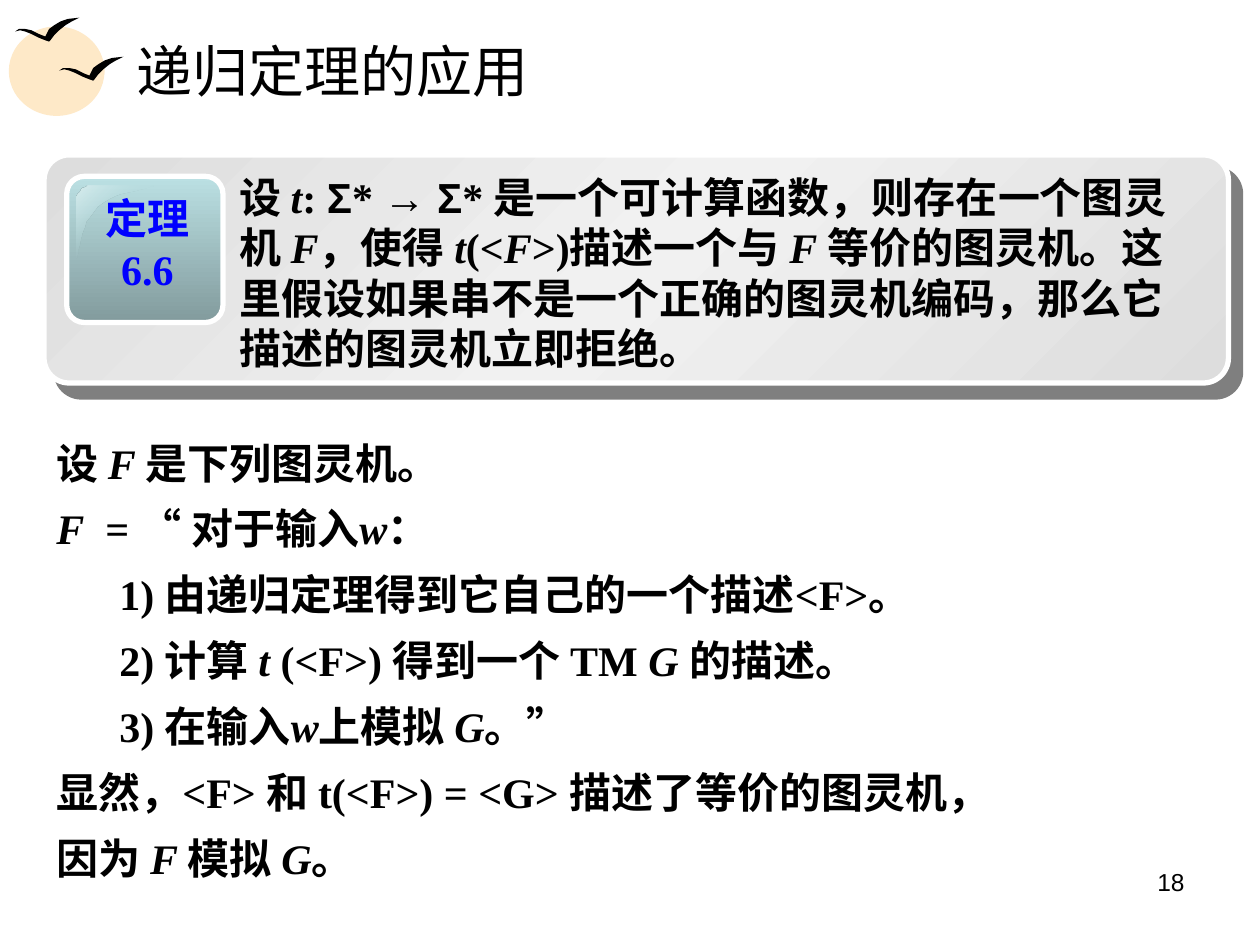
import lxml.etree
import pptx
import pptx.dml.color
import pptx.enum.shapes
import pptx.enum.text
import pptx.oxml.ns
import pptx.util

SHAPE = pptx.enum.shapes.MSO_SHAPE
ALIGN = pptx.enum.text.PP_ALIGN
ANCHOR = pptx.enum.text.MSO_ANCHOR
Inches, Pt = pptx.util.Inches, pptx.util.Pt
DRAWING = "http://schemas.openxmlformats.org/drawingml/2006/main"
SERIF, SANS = "Times New Roman", "Arial"

HEADING = "递归定理的应用"
BADGE = ["定理", "6.6"]
THEOREM = [
    "设 _t_: ~Σ~* ~→ Σ~* 是一个可计算函数，则存在一个图灵机 _F_，使得 _t_(<_F_>)描述一个与 _F _"
    "等价的图灵机。这里假设如果串不是一个正确的图灵机编码，那么它描述的图灵机立即拒绝。"
]
PROOF = [
    (0, "设 _F _是下列图灵机。"),
    (0, "_F_  = “ 对于输入_w_："),
    (1, "1) 由递归定理得到它自己的一个描述<F>。"),
    (1, "2) 计算 _t _(<F>) 得到一个 TM _G _的描述。"),
    (1, "3) 在输入_w_上模拟 _G_。”"),
    (0, "显然，<F> 和 t(<F>) = <G> 描述了等价的图灵机，"),
    (0, "因为 _F _模拟 _G_。"),
]
INDENTS = [(0.38, -0.38), (0.81, -0.31)]
PAGE = "18"

SUN = [(0.07, 0.21, 0.76, 0.71), (0.2, 0.28, 0.63, 0.55)]
BIRD = [(0, 11), (3, 9), (8, 9), (13, 10), (19, 13), (24, 15), (27, 9), (31, 6), (36, 3),
        (42, 1), (51, 0), (45, 3), (40, 6), (35, 10), (31, 14), (28, 18), (27, 19),
        (24, 18), (19, 16), (13, 13), (8, 11), (4, 10)]
BIRD_PLACES = [(0.47, 0.45), (0.12, 0.14)]
GLOSS_CURVES = [
    [(0.73, 1.47), (0.67, 1.47), (0.61, 1.52), (0.61, 1.59)],
    [(0.61, 2.05), (0.64, 2.05), (0.63, 1.77), (0.78, 1.64)],
    [(0.78, 1.64), (0.93, 1.51), (1.23, 1.5), (1.22, 1.47)],
]


def rgb(value):
    return pptx.dml.color.RGBColor.from_string(value)


def add_xml(parent, markup):
    element = lxml.etree.fromstring(markup.replace(">", f' xmlns:a="{DRAWING}">', 1))
    parent.append(element)
    return element


def paint(part, color):
    part.shadow.inherit = False
    part.fill.solid()
    part.fill.fore_color.rgb = rgb(color)
    part.line.fill.background()


def paint_gradient(part, stops, angle):
    paint(part, stops[0][1])
    marks = "".join(
        f'<a:gs pos="{place * 1000}"><a:srgbClr val="{color}">'
        f'<a:alpha val="{alpha * 1000}"/></a:srgbClr></a:gs>'
        for place, color, alpha in stops)
    properties = part._element.spPr
    gradient = add_xml(properties, f'<a:gradFill rotWithShape="1"><a:gsLst>{marks}</a:gsLst>'
                                   f'<a:lin ang="{angle * 60000}" scaled="1"/></a:gradFill>')
    properties.replace(properties.find(pptx.oxml.ns.qn("a:solidFill")), gradient)


def add_panel(slide, box, corner, stops, angle):
    panel = slide.shapes.add_shape(SHAPE.ROUNDED_RECTANGLE, *map(Inches, box))
    panel.adjustments[0] = corner
    paint_gradient(panel, stops, angle)
    panel.line.color.rgb = rgb("FFFFFF")
    panel.line.width = Pt(3)
    return panel


def add_outline(slide, points, place=(0, 0)):
    builder = slide.shapes.build_freeform(*points[0], scale=Inches(0.01))
    builder.add_line_segments(points[1:], close=True)
    return builder.convert_to_shape(*map(Inches, place))


def curve(controls, steps=12):
    weights = (1, 3, 3, 1)
    return [
        tuple(100 * sum(w * (1 - s / steps) ** (3 - k) * (s / steps) ** k * point[axis]
                        for k, (w, point) in enumerate(zip(weights, controls)))
              for axis in (0, 1))
        for s in range(steps + 1)]


def write(paragraph, text, size, font=SERIF, color="000000", bold=False, align=ALIGN.LEFT):
    paragraph.alignment = align
    paragraph.font.size = Pt(size)
    paragraph.font.name = font
    paragraph.font.bold = bold
    paragraph.font.color.rgb = rgb(color)
    for i, stretch in enumerate(text.split("_")):
        for j, piece in enumerate(stretch.split("~")):
            if piece:
                run = paragraph.add_run()
                run.text = piece
                if i % 2:
                    run.font.italic = True
                if j % 2:
                    run.font.name = SANS


def add_text(slide, box, lines, size, **style):
    frame = slide.shapes.add_textbox(*map(Inches, box)).text_frame
    frame.word_wrap = True
    for i, line in enumerate(lines):
        paragraph = frame.add_paragraph() if i else frame.paragraphs[0]
        write(paragraph, line, size, **style)
    return frame


def main():
    deck = pptx.Presentation()
    deck.slide_width, deck.slide_height = Inches(10), Inches(7.5)
    slide = deck.slides.add_slide(deck.slide_layouts[5])

    for box in SUN:
        paint(slide.shapes.add_shape(SHAPE.OVAL, *map(Inches, box)), "FEE9C8")
    for place in BIRD_PLACES:
        paint(add_outline(slide, BIRD, place), "000000")

    title = slide.shapes.title
    title.left, title.top, title.width, title.height = map(Inches, (0.98, 0.21, 8.53, 0.69))
    title.text_frame.vertical_anchor = ANCHOR.MIDDLE
    write(title.text_frame.paragraphs[0], HEADING, 32)

    card = add_panel(slide, (0.35, 1.23, 9.4, 1.81), 0.11,
                     [(0, "DDDDDD", 100), (50, "F1F1F1", 100), (100, "DDDDDD", 100)], 225)
    effects = card._element.spPr.find(pptx.oxml.ns.qn("a:effectLst"))
    add_xml(effects, f'<a:outerShdw dist="{Pt(10.6)}" dir="{49 * 60000}" algn="ctr" rotWithShape="0">'
                     '<a:srgbClr val="000000"><a:alpha val="50000"/></a:srgbClr></a:outerShdw>')
    add_panel(slide, (0.53, 1.4, 1.24, 1.16), 0.12,
              [(0, "BBE0E3", 100), (100, "829B9D", 100)], 90)
    gloss = add_outline(slide, [point for part in GLOSS_CURVES for point in curve(part)])
    paint_gradient(gloss, [(0, "D9EDEE", 100), (50, "BBE0E3", 0), (100, "D9EDEE", 100)], 225)

    add_text(slide, (0.7, 1.48, 0.94, 0.9), BADGE, 24, color="0000FF", bold=True,
             align=ALIGN.CENTER)
    add_text(slide, (1.8, 1.31, 7.69, 1.7), THEOREM, 24, bold=True)

    proof = add_text(slide, (0.35, 3.36, 9.37, 3.7), [line for _, line in PROOF], 24, bold=True)
    for paragraph, (level, _) in zip(proof.paragraphs, PROOF):
        paragraph.level = level
        paragraph.line_spacing = 1.15
        paragraph.space_before = Pt(4.5)
        margin, indent = INDENTS[level]
        paragraph._p.pPr.set("marL", str(Inches(margin)))
        paragraph._p.pPr.set("indent", str(Inches(indent)))

    add_text(slide, (7.17, 6.83, 2.33, 0.52), [PAGE], 14, font=SANS, align=ALIGN.RIGHT)
    deck.save("out.pptx")


if __name__ == "__main__":
    main()
